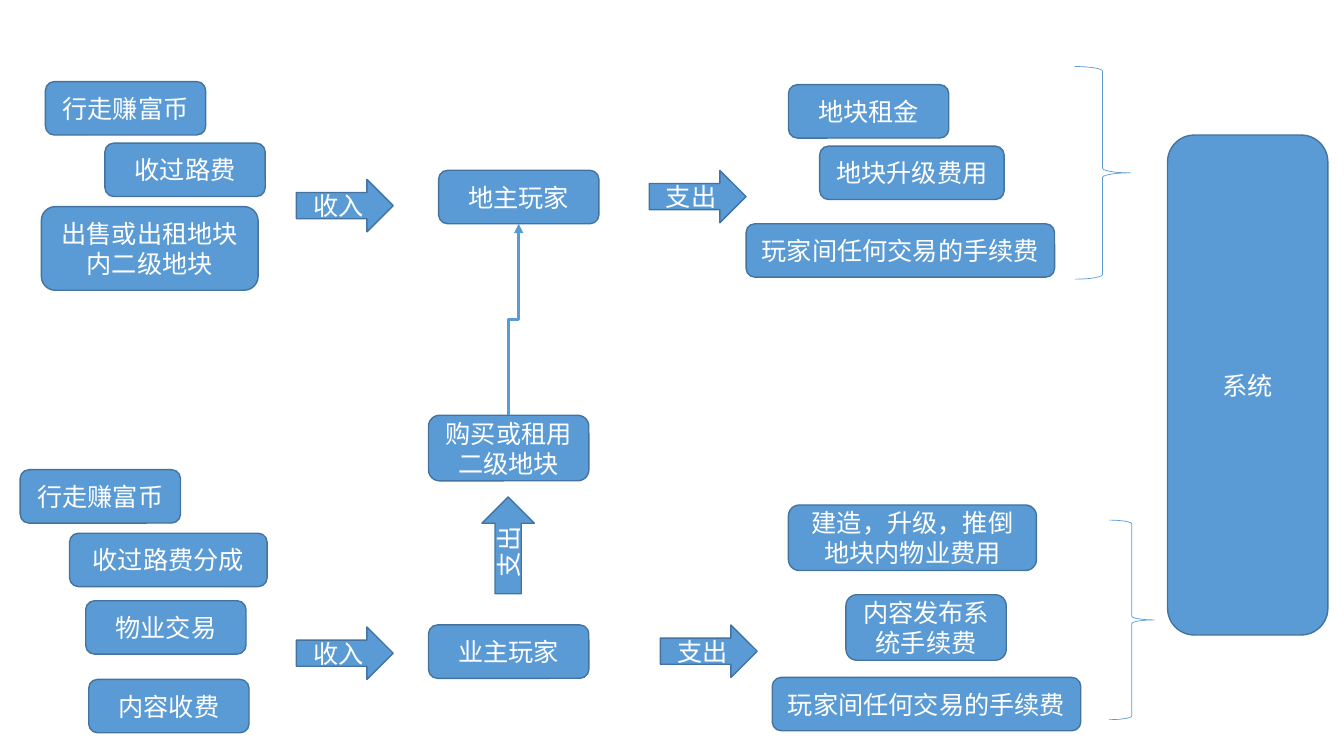
from dataclasses import dataclass

from pptx import Presentation
from pptx.dml.color import RGBColor
from pptx.enum.shapes import MSO_CONNECTOR, MSO_SHAPE
from pptx.enum.text import MSO_ANCHOR, PP_ALIGN
from pptx.oxml.ns import qn
from pptx.util import Inches, Pt
from lxml.etree import SubElement


@dataclass(frozen=True)
class Theme:
    fill: RGBColor = RGBColor(0x5B, 0x9B, 0xD5)
    outline: RGBColor = RGBColor(0x43, 0x73, 0x9E)
    text: RGBColor = RGBColor(0xFF, 0xFF, 0xFF)
    font: str = "Calibri"
    size: Pt = Pt(18)
    outline_width: Pt = Pt(1)
    brace_width: Pt = Pt(0.5)
    link_width: Pt = Pt(2.25)


THEME = Theme()
NODE_WIDTH, ONE_LINE, TWO_LINES = 1.59, 0.53, 0.65
ARROW_WIDTH, ARROW_HEIGHT = 0.96, 0.52

LANDLORD = ("地主玩家", 4.35, 1.69, NODE_WIDTH, ONE_LINE)
PURCHASE = ("购买或租用二级地块", 4.25, 4.12, NODE_WIDTH, TWO_LINES)

NODES = [
    ("行走赚富币", 0.45, 0.81, NODE_WIDTH, ONE_LINE),
    ("收过路费", 1.04, 1.42, NODE_WIDTH, ONE_LINE),
    ("出售或出租地块内二级地块", 0.41, 2.05, 2.15, 0.83),
    LANDLORD,
    ("地块租金", 7.82, 0.84, NODE_WIDTH, ONE_LINE),
    ("地块升级费用", 8.13, 1.45, 1.83, ONE_LINE),
    ("玩家间任何交易的手续费", 7.4, 2.22, 3.06, ONE_LINE),
    ("系统", 11.58, 1.34, NODE_WIDTH, 4.96),
    PURCHASE,
    ("业主玩家", 4.25, 6.2, NODE_WIDTH, ONE_LINE),
    ("行走赚富币", 0.2, 4.66, NODE_WIDTH, ONE_LINE),
    ("收过路费分成", 0.69, 5.29, 1.96, ONE_LINE),
    ("物业交易", 0.85, 5.96, NODE_WIDTH, ONE_LINE),
    ("内容收费", 0.88, 6.74, NODE_WIDTH, ONE_LINE),
    ("建造，升级，推倒地块内物业费用", 7.82, 5.01, 2.46, TWO_LINES),
    ("内容发布系统手续费", 8.39, 5.9, NODE_WIDTH, TWO_LINES),
    ("玩家间任何交易的手续费", 7.66, 6.72, 3.06, ONE_LINE),
]

ARROWS = [
    ("收入", 2.94, 1.78, 0),
    ("支出", 6.44, 1.69, 0),
    ("收入", 2.94, 6.22, 0),
    ("支出", 6.55, 6.2, 0),
    ("支出", 4.56, 5.15, 270),
]

BRACES = [(10.66, 0.66, 0.55, 2.11), (11, 5.16, 0.45, 1.98)]


def add_block(page, kind, text, left, top, width, height):
    box = page.shapes.add_shape(kind, *map(Inches, (left, top, width, height)))
    box.shadow.inherit = False
    box.fill.solid()
    box.fill.fore_color.rgb = THEME.fill
    box.line.color.rgb = THEME.outline
    box.line.width = THEME.outline_width
    frame = box.text_frame
    frame.word_wrap = True
    frame.vertical_anchor = MSO_ANCHOR.MIDDLE
    para = frame.paragraphs[0]
    para.text = text
    para.alignment = PP_ALIGN.CENTER
    para.font.name = THEME.font
    para.font.size = THEME.size
    para.font.color.rgb = THEME.text
    return box


def add_brace(page, *place):
    brace = page.shapes.add_shape(MSO_SHAPE.RIGHT_BRACE, *map(Inches, place))
    brace.shadow.inherit = False
    brace.fill.background()
    brace.line.color.rgb = THEME.fill
    brace.line.width = THEME.brace_width


def add_upward_link(page, source, target):
    start_x, start_y = source[1] + source[3] / 2, source[2]
    end_x, end_y = target[1] + target[3] / 2, target[2] + target[4]
    center_x, center_y = (start_x + end_x) / 2, (start_y + end_y) / 2
    half_rise, half_shift = (start_y - end_y) / 2, (end_x - start_x) / 2
    link = page.shapes.add_connector(
        MSO_CONNECTOR.ELBOW,
        Inches(center_x + half_rise), Inches(center_y + half_shift),
        Inches(center_x - half_rise), Inches(center_y - half_shift),
    )
    link.line.color.rgb = THEME.fill
    link.line.width = THEME.link_width
    properties = link._element.spPr
    properties.find(qn("a:xfrm")).set("rot", str(90 * 60000))
    SubElement(properties.find(qn("a:ln")), qn("a:tailEnd"), type="triangle")
    SubElement(properties, qn("a:effectLst"))


def main():
    deck = Presentation()
    deck.slide_width, deck.slide_height = Inches(13.33), Inches(7.5)
    page = deck.slides.add_slide(deck.slide_layouts[6])
    for node in NODES:
        add_block(page, MSO_SHAPE.ROUNDED_RECTANGLE, *node)
    for text, left, top, rotation in ARROWS:
        arrow = add_block(page, MSO_SHAPE.RIGHT_ARROW, text, left, top, ARROW_WIDTH, ARROW_HEIGHT)
        arrow.rotation = rotation
    for brace in BRACES:
        add_brace(page, *brace)
    add_upward_link(page, PURCHASE, LANDLORD)
    deck.save("out.pptx")


if __name__ == "__main__":
    main()
